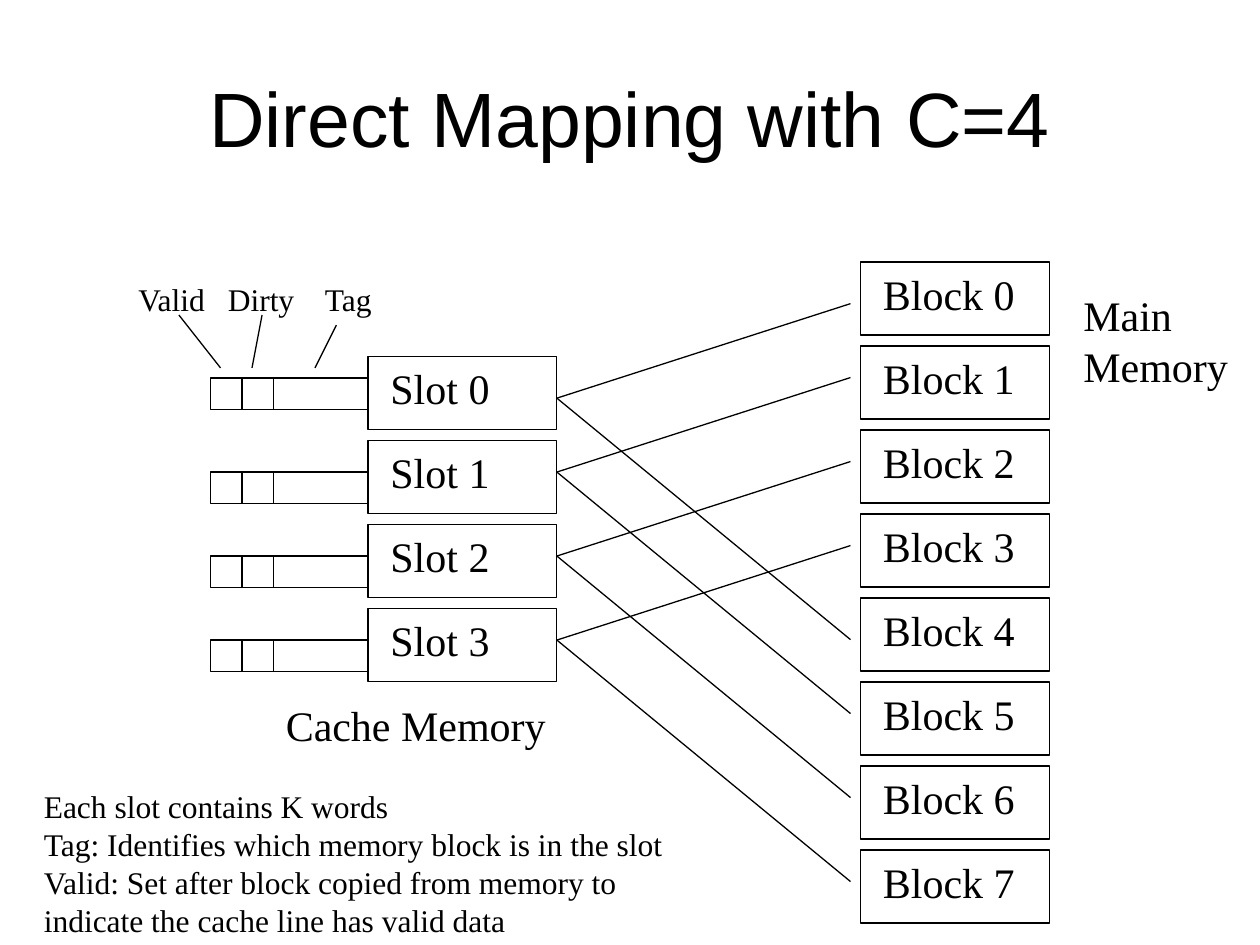
from pptx import Presentation
from pptx.dml.color import RGBColor
from pptx.enum.shapes import MSO_CONNECTOR as CONN, MSO_SHAPE as SHAPE
from pptx.enum.text import MSO_ANCHOR as ANCHOR, MSO_AUTO_SIZE as AUTO, PP_ALIGN as ALIGN
from pptx.oxml.ns import qn
from pptx.util import Inches, Pt
from lxml import etree

COLORS = {"ink": "000000", "paper": "FFFFFF"}
SERIF, SANS = "Times New Roman", "Arial"
SLOTS, BLOCKS = 4, 8
PITCH = 2 / 3
CELL_W, CELL_H = 1.5, 0.58


def color(name):
    return RGBColor.from_string(COLORS[name])


def set_attrs(obj, values):
    for name, value in values.items():
        setattr(obj, name, value)


def write(tf, lines, size, font=SERIF, align=ALIGN.LEFT):
    for i, line in enumerate(lines):
        p = tf.paragraphs[0] if i == 0 else tf.add_paragraph()
        p.alignment = align
        r = p.add_run()
        r.text = line
        set_attrs(r.font, {"size": Pt(size), "name": font})
        r.font.color.rgb = color("ink")


def add_text(s, box, lines, size, wrap=True):
    tf = s.shapes.add_textbox(*map(Inches, box)).text_frame
    set_attrs(tf, {"word_wrap": wrap, "auto_size": AUTO.SHAPE_TO_FIT_TEXT})
    write(tf, lines, size)
    return tf


def add_rect(s, box):
    sp = s.shapes.add_shape(SHAPE.RECTANGLE, *map(Inches, box))
    sp.shadow.inherit = False
    sp.fill.background()
    sp.line.color.rgb = color("ink")
    sp.line.width = Pt(0.75)


def add_line(s, *ends):
    c = s.shapes.add_connector(CONN.STRAIGHT, *map(Inches, ends))
    c.line.color.rgb = color("ink")
    c.line.width = Pt(0.75)
    etree.SubElement(c._element.spPr, qn("a:effectLst"))


def add_title(s, box):
    title = s.shapes.title
    names = ("left", "top", "width", "height")
    set_attrs(title, dict(zip(names, map(Inches, box))))
    tf = title.text_frame
    set_attrs(tf, {"vertical_anchor": ANCHOR.MIDDLE, "word_wrap": True})
    write(tf, ["Direct Mapping with C=4"], 44, SANS, ALIGN.CENTER)


def add_cells(s, left, top, name, count, label_w):
    for i in range(count):
        y = top + i * PITCH
        add_rect(s, (left, y, CELL_W, CELL_H))
        add_text(s, (left + 0.08, y, label_w, 0.5), [f"{name} {i}"], 24, wrap=False)


def port(top, i):
    return top + i * PITCH + (0.33 if i % SLOTS == 0 else 0.25)


def add_mapping(s, left, slot_top, right, block_top):
    for i in range(BLOCKS):
        add_line(s, left, port(slot_top, i % SLOTS), right, port(block_top, i))


def add_tag_fields(s, left, slot_top):
    for i in range(SLOTS):
        y = slot_top + i * PITCH + (0.17 if i == 0 else 0.25)
        add_rect(s, (left, y, 1.25, 0.25))
        for x in (left + 0.25, left + 0.5):
            add_line(s, x, y + 0.25, x, y)


def add_field_labels(s, left, top):
    tf = add_text(s, (left, top, 2.11, 0.4), ["Valid\tDirty\tTag"], 18)
    tabs = etree.SubElement(tf.paragraphs[0]._p.get_or_add_pPr(), qn("a:tabLst"))
    for stop in (0.71, 1.48):
        etree.SubElement(tabs, qn("a:tab"), pos=str(Inches(stop)), algn="l")
    for x1, x2, y2 in ((0.75, 0.42, 0.33), (1, 1.08, 0.33), (1.5, 1.67, 0.41)):
        add_line(s, left + x1, top + 0.75, left + x2, top + y2)


def add_notes(s, box):
    add_text(s, box, [
        "Each slot contains K words",
        "Tag: Identifies which memory block is in the slot",
        "Valid: Set after block copied from memory to indicate the cache line has valid data",
    ], 18)


def main():
    prs = Presentation()
    set_attrs(prs, {"slide_width": Inches(10), "slide_height": Inches(7.5)})
    s = prs.slides.add_slide(prs.slide_layouts[5])
    s.background.fill.solid()
    s.background.fill.fore_color.rgb = color("paper")

    slot_x, slot_y, block_x, block_y = 2.92, 2.83, 6.83, 2.08
    add_title(s, (0.5, 0.3, 9, 1.25))
    add_cells(s, block_x, block_y, "Block", BLOCKS, 1.26)
    add_text(s, (8.5, 2.25, 1.35, 0.9), ["Main", "Memory"], 24, wrap=False)
    add_cells(s, slot_x, slot_y, "Slot", SLOTS, 1)
    add_mapping(s, slot_x + CELL_W, slot_y, block_x - 0.08, block_y)
    add_text(s, (2.17, 5.5, 2.33, 0.5), ["Cache Memory"], 24)
    add_notes(s, (0.25, 6.2, 5.17, 1.3))
    add_tag_fields(s, slot_x - 1.25, slot_y)
    add_field_labels(s, 1, 2.17)
    prs.save("out.pptx")


if __name__ == "__main__":
    main()
